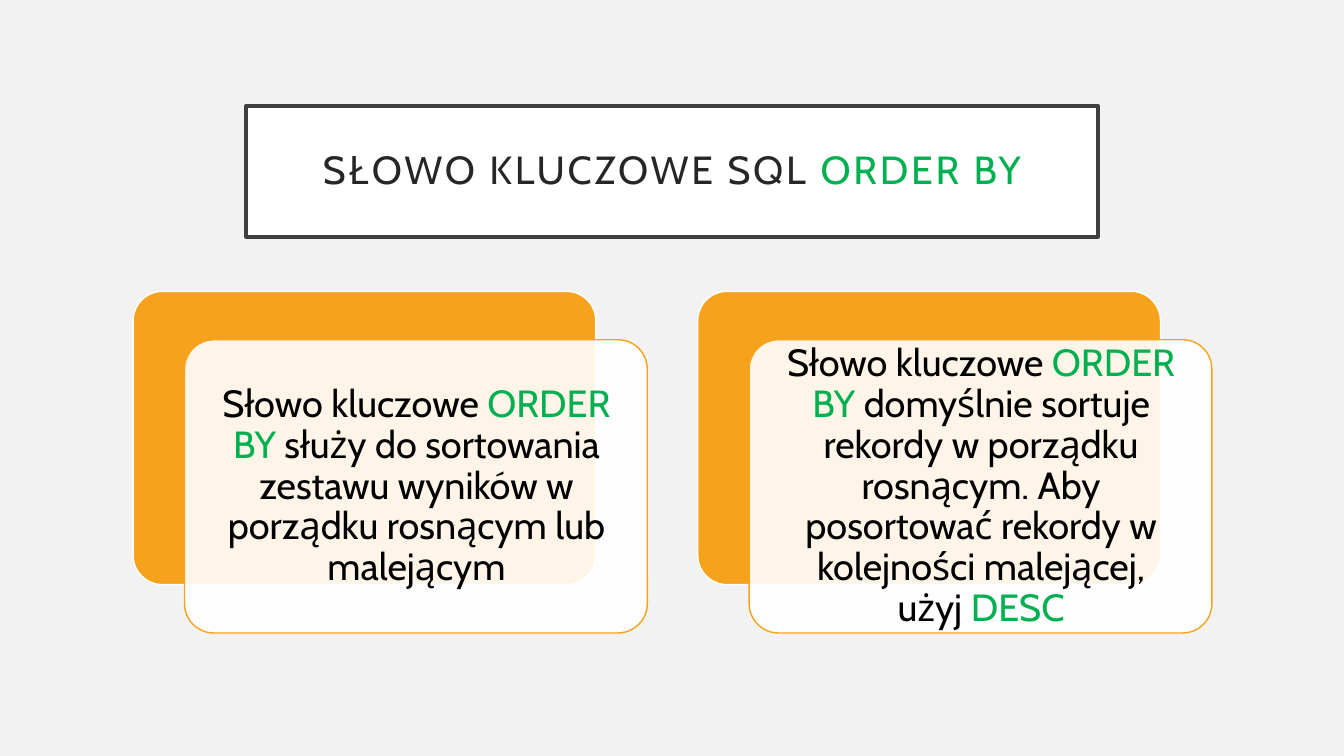
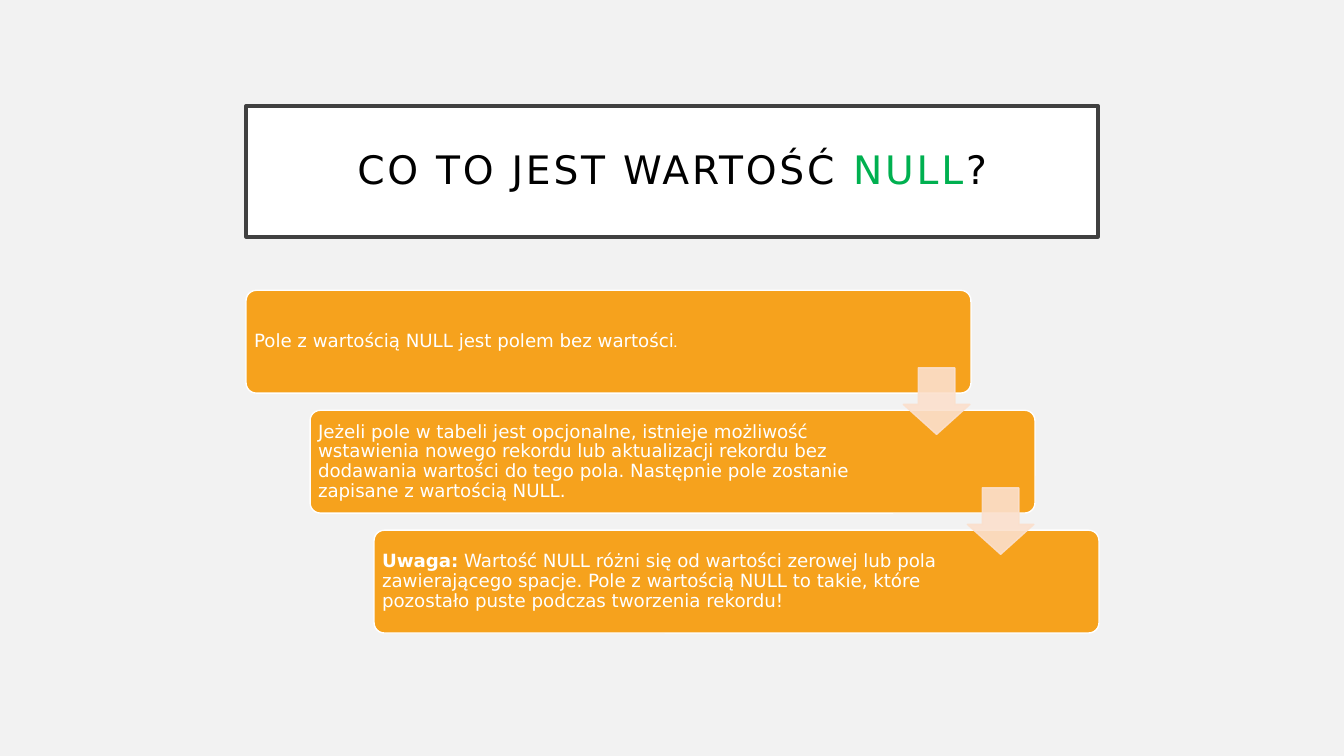
from pptx import Presentation
from pptx.dml.color import RGBColor
from pptx.enum import shapes, text
from pptx.oxml.ns import qn
from pptx.util import Inches, Pt
from lxml import etree

NBSP = chr(160)
SHAPE = shapes.MSO_SHAPE
ALIGN = text.PP_ALIGN
CABIN, DEJAVU = "Cabin", "DejaVu Sans"
PAPER, WHITE, BLACK = "F2F2F2", "FFFFFF", "000000"
FRAME, INK = "404040", "262626"
ORANGE, PEACH, GREEN = "F6A21D", "FBE0CD", "00B050"


def rgb(value):
    return RGBColor.from_string(value)


def set_solid(fill, color, opacity=100):
    fill.solid()
    fill.fore_color.rgb = rgb(color)
    if opacity < 100:
        clr = fill._xPr.find(qn("a:solidFill"))[0]
        etree.SubElement(clr, qn("a:alpha"), val=str(opacity * 1000))


def write(sp, runs, size, font, color, align=ALIGN.LEFT, inset=0.05,
          after=0, spacing=0):
    """Fill a shape with one paragraph; each run is (text, overrides)."""
    tf = sp.text_frame
    tf.word_wrap = True
    tf.vertical_anchor = text.MSO_ANCHOR.MIDDLE
    tf.margin_left = tf.margin_right = Inches(inset)
    tf.margin_top = tf.margin_bottom = Inches(inset)
    p = tf.paragraphs[0]
    p.alignment, p.line_spacing, p.space_after = align, 0.9, Pt(after)
    for content, style in runs:
        r = p.add_run()
        r.text = content
        r.font.size = Pt(size)
        r.font.name = style.get("font", font)
        r.font.bold = style.get("bold", False)
        r.font.color.rgb = rgb(style.get("color", color))
        if spacing:
            r._r.get_or_add_rPr().set("spc", str(spacing * 100))


class Deck:
    def __init__(self):
        self.prs = Presentation()
        self.prs.slide_width, self.prs.slide_height = Inches(13.33), Inches(7.5)

    def new_slide(self):
        self.s = self.prs.slides.add_slide(self.prs.slide_layouts[6])
        set_solid(self.s.background.fill, PAPER)

    def shape(self, kind, x, y, w, h, fill, line, width=1, adj=(),
              opacity=100, line_opacity=100):
        sp = self.s.shapes.add_shape(kind, *map(Inches, (x, y, w, h)))
        sp.shadow.inherit = False
        for i, value in enumerate(adj):
            sp.adjustments[i] = value
        set_solid(sp.fill, fill, opacity)
        set_solid(sp.line.fill, line, line_opacity)
        sp.line.width = Pt(width)
        return sp

    def panel(self, x, y, w, h, fill=ORANGE, line=WHITE, opacity=100):
        self.shape(SHAPE.ROUNDED_RECTANGLE, x, y, w, h, fill, line,
                   adj=(0.1,), opacity=opacity)

    def label(self, x, y, w, h, runs, size, font, color, **style):
        box = self.s.shapes.add_textbox(*map(Inches, (x, y, w, h)))
        write(box, runs, size, font, color, after=size * 0.35, **style)

    def title(self, runs, font, color):
        sp = self.shape(SHAPE.RECTANGLE, 2.44, 1.05, 8.45, 1.3, WHITE, FRAME, 2.5)
        write(sp, runs, 28, font, color, ALIGN.CENTER, inset=0.2, spacing=2)

    def card(self, x, y, runs):
        """Orange panel with an offset translucent panel that holds the text."""
        w, h = 4.59, 2.91
        self.panel(x, y, w, h)
        self.panel(x + 0.51, y + 0.48, w, h, WHITE, ORANGE, opacity=90)
        self.label(x + 0.6, y + 0.57, 4.42, 2.74, runs, 27, CABIN, BLACK,
                   align=ALIGN.CENTER, inset=0.11)

    def step(self, x, y, text_width, runs):
        self.panel(x, y, 7.19, 1.02)
        self.label(x + 0.03, y + 0.03, text_width, 0.96, runs, 13, DEJAVU, WHITE)

    def arrow(self, x, y):
        self.shape(SHAPE.DOWN_ARROW, x, y, 0.66, 0.66, PEACH, PEACH,
                   adj=(0.55, 0.45), opacity=90, line_opacity=90)


def order_by_slide(deck):
    green = {"color": GREEN}
    keyword = [(f"Słowo{NBSP}kluczowe ", {}), ("ORDER BY ", green)]
    cards = [
        [("służy do sortowania zestawu wyników w porządku rosnącym lub "
          "malejącym", {})],
        [(f"domyślnie sortuje rekordy w porządku rosnącym.{NBSP}Aby posortować "
          f"rekordy w kolejności malejącej, użyj{NBSP}", {}), ("DESC", green)],
    ]
    deck.new_slide()
    deck.title([("SŁOWO KLUCZOWE SQL ", {}), ("ORDER BY", green)], CABIN, INK)
    for i, runs in enumerate(cards):
        deck.card(1.32 + 5.6 * i, 2.89, keyword + runs)


def null_slide(deck):
    left, top, dx, dy = 2.44, 2.88, 0.635, 1.19
    steps = [
        (6.09, [("Pole z wartością NULL jest polem bez wartości", {}),
                (".", {"font": CABIN})]),
        (5.83, [("Jeżeli pole w tabeli jest opcjonalne, istnieje możliwość "
                 "wstawienia nowego rekordu lub aktualizacji rekordu bez "
                 f"dodawania wartości do tego pola.{NBSP}Następnie pole "
                 "zostanie zapisane z wartością NULL.", {})]),
        (5.83, [("Uwaga:", {"bold": True}),
                (f"{NBSP}Wartość NULL różni się od wartości zerowej lub pola "
                 f"zawierającego spacje.{NBSP}Pole z wartością NULL to takie, "
                 "które pozostało puste podczas tworzenia rekordu!", {})]),
    ]
    deck.new_slide()
    deck.title([("CO TO JEST WARTOŚĆ ", {}), ("NULL", {"color": GREEN}),
                ("?", {})], DEJAVU, BLACK)
    for i, (text_width, runs) in enumerate(steps):
        deck.step(left + dx * i, top + dy * i, text_width, runs)
    for i in range(len(steps) - 1):
        deck.arrow(left + 6.52 + dx * i, top + 0.77 + dy * i)


def main():
    deck = Deck()
    order_by_slide(deck)
    null_slide(deck)
    deck.prs.save("out.pptx")


if __name__ == "__main__":
    main()
